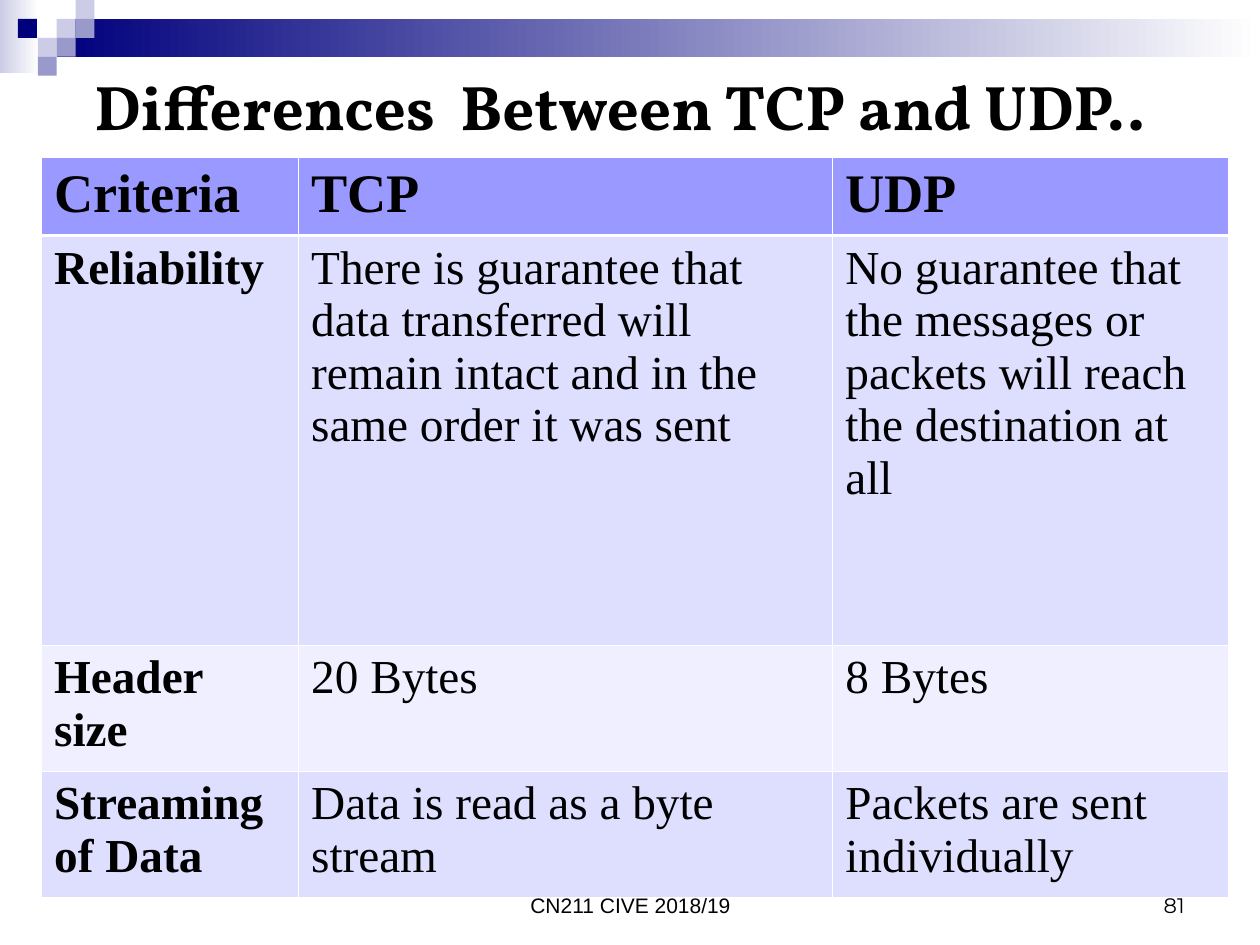
from lxml import etree
from pptx import Presentation
from pptx.dml.color import RGBColor
from pptx.enum import shapes, text
from pptx.oxml.ns import qn
from pptx.util import Inches, Pt

BLACK = RGBColor(0x00, 0x00, 0x00)
WHITE = RGBColor(0xFF, 0xFF, 0xFF)
NAVY = RGBColor(0x00, 0x00, 0x7D)
LILAC = RGBColor(0xCC, 0xCC, 0xE6)
MAUVE = RGBColor(0x99, 0x99, 0xCC)
HEADER_FILL = RGBColor(0x99, 0x99, 0xFF)
BAND_FILLS = RGBColor(0xDE, 0xDE, 0xFF), RGBColor(0xEF, 0xEF, 0xFF)

COL_WIDTHS = 2.04, 4.24, 3.14
ROW_HEIGHTS = 0.62, 3.25, 1, 1
ROWS = [
    ("Criteria", "TCP", "UDP"),
    ("Reliability",
     "There is guarantee that data transferred will remain intact "
     "and in the same order it was sent",
     "No guarantee that the messages or packets will reach "
     "the destination at all"),
    ("Header size", "20 Bytes", "8 Bytes"),
    ("Streaming of Data", "Data is read as a byte stream",
     "Packets are sent individually"),
]


def write(tf, words, color=BLACK, align=text.PP_ALIGN.LEFT, **fmt):
    """Put one formatted run in the first paragraph of a text frame."""
    p = tf.paragraphs[0]
    p.alignment = align
    r = p.add_run()
    r.text = words
    r.font.color.rgb = color
    for name, value in fmt.items():
        setattr(r.font, name, value)


def add_text(s, box, words, anchor, align, **fmt):
    tf = s.shapes.add_textbox(*map(Inches, box)).text_frame
    tf.word_wrap = True
    tf.vertical_anchor = anchor
    write(tf, words, align=align, **fmt)


def add_rect(s, box, color, fade_to=None):
    sp = s.shapes.add_shape(shapes.MSO_SHAPE.RECTANGLE, *map(Inches, box))
    sp.shadow.inherit = False
    sp.line.fill.background()
    if fade_to is None:
        sp.fill.solid()
        sp.fill.fore_color.rgb = color
    else:
        sp.fill.gradient()
        sp.fill.gradient_angle = 0
        for stop, rgb in zip(sp.fill.gradient_stops, (color, fade_to)):
            stop.color.rgb = rgb


def add_banner(s, left, top, width):
    """Fading bars with a staircase of small squares at the left end."""
    side = 0.15
    add_rect(s, (left, top, 0.31, 0.58), LILAC, WHITE)
    bar_left = left + 3 * side
    add_rect(s, (bar_left, top + side, width - 3 * side, 2 * side), NAVY, WHITE)
    squares = [(3, 1, LILAC), (4, 0, LILAC), (4, 1, MAUVE), (2, 2, LILAC),
               (0.95, 1, NAVY), (3, 2, MAUVE), (2, 3, MAUVE)]
    for col, row, color in squares:
        add_rect(s, (left + col * side, top + row * side, side, side), color)


def set_borders(cell, **widths):
    """Draw white cell borders, widths in points keyed by side."""
    tc_pr = cell._tc.get_or_add_tcPr()
    for i, side in enumerate(("lnL", "lnR", "lnT", "lnB")):
        ln = etree.Element(qn(f"a:{side}"), w=str(Pt(widths.get(side, 0.45))))
        fill = etree.SubElement(ln, qn("a:solidFill"))
        etree.SubElement(fill, qn("a:srgbClr"), val=str(WHITE))
        tc_pr.insert(i, ln)


def add_comparison(s, box):
    table = s.shapes.add_table(len(ROWS), len(COL_WIDTHS),
                               *map(Inches, box)).table
    for col, width in zip(table.columns, COL_WIDTHS):
        col.width = Inches(width)
    for i, (row, height, words) in enumerate(
            zip(table.rows, ROW_HEIGHTS, ROWS)):
        row.height = Inches(height)
        for j, (cell, word) in enumerate(zip(row.cells, words)):
            cell.fill.solid()
            cell.fill.fore_color.rgb = (
                BAND_FILLS[(i - 1) % 2] if i else HEADER_FILL)
            # A heavier rule parts the header from the body
            heavy = {0: {"lnB": 1.47}, 1: {"lnT": 1.47}}.get(i, {})
            set_borders(cell, **heavy)
            write(cell.text_frame, word, name="Times New Roman",
                  size=Pt(27 if i else 31), bold=i == 0 or j == 0)


def add_footer(s, top, height):
    style = {"anchor": text.MSO_ANCHOR.BOTTOM, "size": Pt(12)}
    add_text(s, (3.42, top, 3.17, height), "CN211 CIVE 2018/19",
             align=text.PP_ALIGN.CENTER, name="Arial", **style)
    add_text(s, (7.17, top, 2.33, height), "81",
             align=text.PP_ALIGN.RIGHT, name="Montserrat", **style)


def main():
    prs = Presentation()
    prs.slide_width, prs.slide_height = Inches(10), Inches(7.5)
    s = prs.slides.add_slide(prs.slide_layouts[6])
    add_banner(s, 0, 0, 10)
    # Title
    add_text(s, (0.17, 0.5, 9.5, 0.67), "Differences  Between TCP and UDP..",
             text.MSO_ANCHOR.MIDDLE, text.PP_ALIGN.CENTER,
             name="Vollkorn", size=Pt(36), bold=True)
    add_footer(s, 6.83, 0.5)
    add_comparison(s, (0.33, 1.25, sum(COL_WIDTHS), sum(ROW_HEIGHTS)))
    prs.save("out.pptx")


if __name__ == "__main__":
    main()
